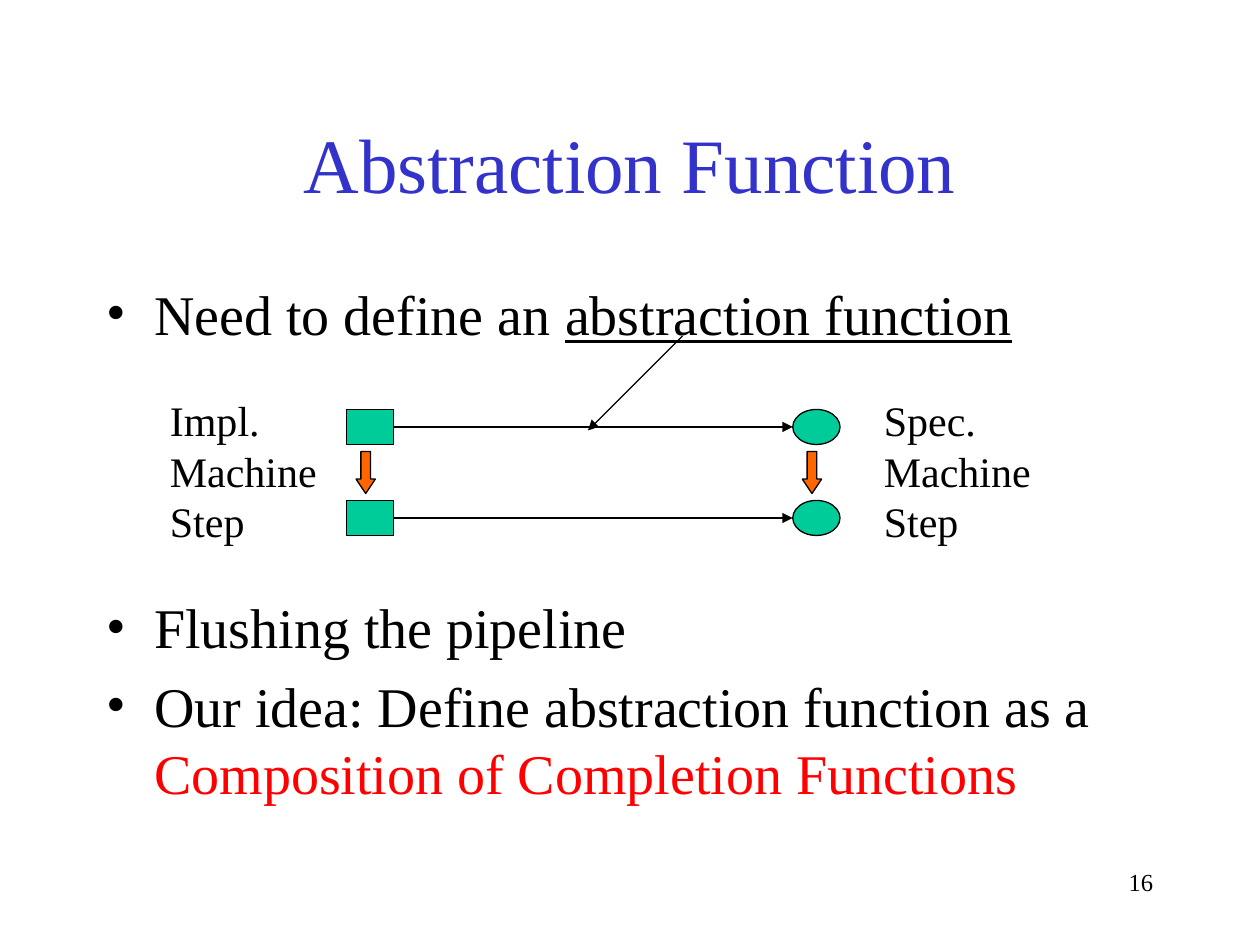
from pptx import Presentation
from pptx.dml.color import RGBColor
from pptx.enum.shapes import MSO_CONNECTOR, MSO_SHAPE
from pptx.enum.text import MSO_ANCHOR, PP_ALIGN
from pptx.oxml.ns import qn
from pptx.util import Pt
from lxml.etree import SubElement


def color(hex_string):
    return RGBColor.from_string(hex_string)


def add_text(paragraph, text, size=32, fill="000000", underline=False):
    run = paragraph.add_run()
    run.text = text
    run.font.name = "Times New Roman"
    run.font.size = Pt(size)
    run.font.color.rgb = color(fill)
    run.font.underline = underline


presentation = Presentation()
presentation.slide_width = Pt(720)
presentation.slide_height = Pt(540)
slide = presentation.slides.add_slide(presentation.slide_layouts[6])
shapes = slide.shapes

# Page number
number_frame = shapes.add_textbox(Pt(516), Pt(492), Pt(150), Pt(36)).text_frame
number_frame.word_wrap = True
number_frame.paragraphs[0].alignment = PP_ALIGN.RIGHT
add_text(number_frame.paragraphs[0], "16", size=14)

# Title
title_frame = shapes.add_textbox(Pt(54), Pt(48), Pt(612), Pt(90)).text_frame
title_frame.word_wrap = True
title_frame.vertical_anchor = MSO_ANCHOR.MIDDLE
title_frame.paragraphs[0].alignment = PP_ALIGN.CENTER
add_text(title_frame.paragraphs[0], "Abstraction Function", size=44, fill="3333CC")

# Bullets: space before in points, then the runs; the second leaves room for the diagram
bullets = [
    (6.4, [("Need to define an ", {}), ("abstraction function", {"underline": True})]),
    (140.8, [("Flushing the pipeline", {})]),
    (6.4, [("Our idea: Define abstraction function as a ", {}),
           ("Composition of Completion Functions", {"fill": "FF0000"})]),
]
body_frame = shapes.add_textbox(Pt(54), Pt(156), Pt(612), Pt(324)).text_frame
body_frame.word_wrap = True
for index, (space_before, runs) in enumerate(bullets):
    paragraph = body_frame.paragraphs[0] if index == 0 else body_frame.add_paragraph()
    paragraph.space_before = Pt(space_before)
    properties = paragraph._p.get_or_add_pPr()
    properties.set("marL", str(Pt(27)))
    properties.set("indent", str(-Pt(27)))
    SubElement(properties, qn("a:buFont"), typeface="Times New Roman")
    SubElement(properties, qn("a:buChar"), char="•")
    for text, text_format in runs:
        add_text(paragraph, text, **text_format)

# Machine states in two rows, and the step arrows between the rows
impl_left, spec_left = 198, 453
state_width, state_height = 27, 20
row_tops = [234, 286]
diagram = []
for top in row_tops:
    diagram.append((MSO_SHAPE.RECTANGLE, impl_left, top, state_width, state_height, "00CC99"))
    diagram.append((MSO_SHAPE.OVAL, spec_left, top, state_width, state_height, "00CC99"))
for left in (impl_left, spec_left):
    diagram.append((MSO_SHAPE.DOWN_ARROW, left + 5.5, 258, 11, 24, "FF6600"))
for kind, left, top, width, height, fill in diagram:
    shape = shapes.add_shape(kind, Pt(left), Pt(top), Pt(width), Pt(height))
    shape.shadow.inherit = False
    shape.fill.solid()
    shape.fill.fore_color.rgb = color(fill)
    shape.line.color.rgb = color("000000")
    shape.line.width = Pt(0.75)
    if kind == MSO_SHAPE.DOWN_ARROW:
        shape.adjustments[0] = 0.5
        shape.adjustments[1] = 0.75

# Mapping arrows, and the pointer from the underlined term
arrows = [(impl_left + state_width, top + state_height / 2,
           spec_left, top + state_height / 2) for top in row_tops]
arrows.append((390, 192, 336, 246))
for ends in arrows:
    connector = shapes.add_connector(MSO_CONNECTOR.STRAIGHT, *[Pt(end) for end in ends])
    connector.line.color.rgb = color("000000")
    connector.line.width = Pt(0.75)
    SubElement(connector.line._get_or_add_ln(), qn("a:tailEnd"), type="triangle")
    SubElement(connector._element.spPr, qn("a:effectLst"))

# Labels beside the diagram
for left, machine in ((90, "Impl."), (498, "Spec.")):
    label_frame = shapes.add_textbox(Pt(left), Pt(222), Pt(98.5), Pt(93.6)).text_frame
    label_frame.word_wrap = False
    for index, line in enumerate((machine, "Machine", "Step")):
        paragraph = label_frame.paragraphs[0] if index == 0 else label_frame.add_paragraph()
        add_text(paragraph, line, size=24)

presentation.save("out.pptx")
